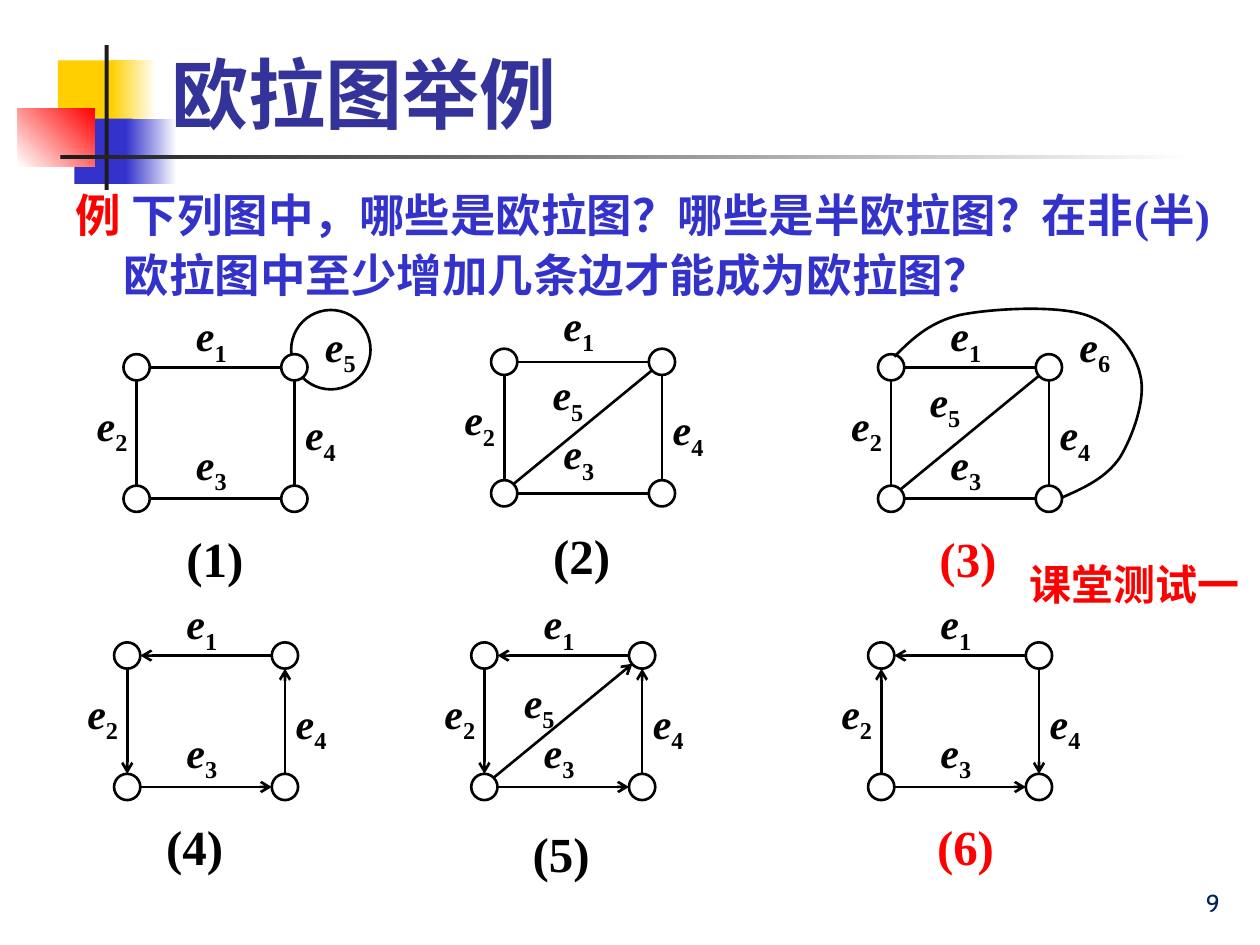
from lxml.etree import SubElement
from pptx import Presentation
from pptx.dml.color import RGBColor
from pptx.enum.shapes import MSO_CONNECTOR, MSO_SHAPE
from pptx.enum.text import MSO_ANCHOR, MSO_AUTO_SIZE, PP_ALIGN
from pptx.oxml.ns import qn
from pptx.util import Cm, Pt

COLORS = {
    "black": "000000", "white": "FFFFFF", "red": "FF0000", "yellow": "FFCF01",
    "blue": "3333CC", "charcoal": "1C1C1C", "title": "333399", "number": "002060",
}
SERIF, SANS = "Times New Roman", "Cabin"
NODE, RADIUS = 0.53, 0.265
WIDTH, HEIGHT = 3.18, 2.65
LABEL_SPOTS = {"1": (1.21, -1.02), "2": (-0.79, 0.78), "3": (1.21, 1.57), "4": (3.41, 0.98)}
EDGES = [
    ((NODE, RADIUS), (WIDTH, RADIUS)),
    ((RADIUS, NODE), (RADIUS, HEIGHT)),
    ((WIDTH + RADIUS, NODE), (WIDTH + RADIUS, HEIGHT)),
    ((NODE, HEIGHT + RADIUS), (WIDTH, HEIGHT + RADIUS)),
]
DIAGONAL = ((0.46, 2.72), (3.25, 0.43))
HEAD, TAIL = "a:headEnd", "a:tailEnd"
PLAIN = (None,) * 4
CYCLE = (HEAD, TAIL, HEAD, TAIL)
GRAPHS = [
    dict(origin=(2.49, 7.14), arrows=PLAIN, extras={"5": (3.81, -0.81)}, loop=True),
    dict(origin=(9.9, 7.03), arrows=PLAIN, extras={"5": (0.99, 0.28)}, diagonal=True, lift=0.1),
    dict(origin=(17.7, 7.14), arrows=PLAIN, extras={"6": (3.81, -0.81), "5": (0.79, 0.3)},
         diagonal=True, outer_edge=True),
    dict(origin=(2.3, 12.95), arrows=CYCLE),
    dict(origin=(9.5, 12.95), arrows=CYCLE, extras={"5": (0.81, 0.56)},
         diagonal=True, diagonal_arrow=TAIL),
    dict(origin=(17.5, 12.95), arrows=(HEAD, HEAD, TAIL, TAIL)),
]
CAPTIONS = [
    ("(1)", 3.51, 10.52, "black"), ("(2)", 10.9, 10.46, "black"), ("(3)", 18.69, 10.52, "red"),
    ("(4)", 3.1, 16.33, "black"), ("(5)", 10.49, 16.48, "black"), ("(6)", 18.64, 16.33, "red"),
]
DECORATION = [
    ((1.17, 1.22, 1.22, 1.32), ["yellow"], 0),
    ((2.24, 1.22, 0.91, 1.32), ["yellow", "white"], 0),
    ((1.5, 2.39, 1.17, 1.32), ["blue"], 0),
    ((2.54, 2.39, 1.02, 1.32), ["blue", "white"], 0),
    ((0.36, 2.18, 1.55, 1.17), ["white", "red"], 45),
    ((2.11, 0.91, 0.08, 2.92), ["charcoal"], 0),
    ((1.22, 3.12, 22.86, 0.08), ["charcoal", "white"], 0),
]
OUTER_EDGE = [
    (18.03, 7.19),
    (18.36, 6.86), (18.72, 6.5), (19.35, 6.35),
    (19.99, 6.22), (21.29, 6.15), (21.89, 6.35),
    (22.5, 6.55), (22.89, 7.11), (22.99, 7.57),
    (23.11, 8.05), (22.83, 8.81), (22.58, 9.22),
    (22.3, 9.63), (21.87, 9.83), (21.41, 10.03),
]


def rgb(name):
    return RGBColor.from_string(COLORS[name])


def write(paragraph, text, size=24, font=SERIF, color="black", bold=True, italic=False, baseline=0):
    run = paragraph.add_run()
    run.text = text
    run.font.size = Pt(size)
    run.font.name = font
    run.font.color.rgb = rgb(color)
    run.font.bold = bold
    run.font.italic = italic
    if baseline:
        run.font._element.set("baseline", str(baseline * 1000))


def add_text_box(shapes, box, wrap=False, fit=MSO_AUTO_SIZE.SHAPE_TO_FIT_TEXT):
    frame = shapes.add_textbox(*map(Cm, box)).text_frame
    frame.word_wrap = wrap
    frame.auto_size = fit
    return frame


def add_edge_label(shapes, index, left, top):
    paragraph = add_text_box(shapes, (left, top, 1.17, 1.27)).paragraphs[0]
    write(paragraph, "e", italic=True)
    write(paragraph, index, baseline=-25)


def style_outline(shape):
    shape.line.color.rgb = rgb("black")
    shape.line.width = Pt(1.5)


def add_circle(shapes, left, top, diameter, filled=False):
    circle = shapes.add_shape(MSO_SHAPE.OVAL, *map(Cm, (left, top, diameter, diameter)))
    circle.shadow.inherit = False
    if filled:
        circle.fill.solid()
        circle.fill.fore_color.rgb = rgb("white")
    else:
        circle.fill.background()
    style_outline(circle)


def add_edge(shapes, origin, ends, arrow=None):
    x, y = origin
    (x1, y1), (x2, y2) = ends
    edge = shapes.add_connector(MSO_CONNECTOR.STRAIGHT, Cm(x + x1), Cm(y + y1), Cm(x + x2), Cm(y + y2))
    style_outline(edge)
    properties = edge.element.spPr
    if arrow:
        SubElement(properties.find(qn("a:ln")), qn(arrow), type="arrow")
    SubElement(properties, qn("a:effectLst"))


def add_outer_edge(shapes):
    points = [(Cm(x), Cm(y)) for x, y in OUTER_EDGE]
    builder = shapes.build_freeform(*points[0])
    builder.add_line_segments(points[1:], close=False)
    curve = builder.convert_to_shape()
    curve.shadow.inherit = False
    curve.fill.background()
    style_outline(curve)
    outline = next(curve.element.iter(qn("a:path")))
    segments = outline.findall(qn("a:lnTo"))
    for start in range(0, len(segments), 3):
        bezier = SubElement(outline, qn("a:cubicBezTo"))
        for segment in segments[start:start + 3]:
            bezier.append(segment[0])
            outline.remove(segment)


def add_graph(slide, origin, arrows, extras=None, loop=False, diagonal=False,
              diagonal_arrow=None, outer_edge=False, lift=0):
    shapes = slide.shapes.add_group_shape().shapes
    x, y = origin
    if loop:
        add_circle(shapes, x + 3.38, y - 0.89, 1.6)
    for column, row in ((1, 0), (0, 0), (0, 1), (1, 1)):
        add_circle(shapes, x + column * WIDTH, y + row * HEIGHT, NODE, filled=(column, row) == (1, 0))
    for ends, arrow in zip(EDGES, arrows):
        add_edge(shapes, origin, ends, arrow)
    for index, (dx, dy) in LABEL_SPOTS.items():
        add_edge_label(shapes, index, x + dx, y + dy - (lift if index in "13" else 0))
    if outer_edge:
        add_outer_edge(shapes)
    if diagonal:
        add_edge(shapes, origin, DIAGONAL, diagonal_arrow)
    for index, (dx, dy) in (extras or {}).items():
        add_edge_label(shapes, index, x + dx, y + dy)


def add_decoration(slide, box, colors, angle):
    block = slide.shapes.add_shape(MSO_SHAPE.RECTANGLE, *map(Cm, box))
    block.shadow.inherit = False
    block.line.fill.background()
    if len(colors) == 1:
        block.fill.solid()
        block.fill.fore_color.rgb = rgb(colors[0])
        return
    block.fill.gradient()
    block.fill.gradient_angle = angle
    for stop, color in zip(block.fill.gradient_stops, colors):
        stop.color.rgb = rgb(color)


def place_placeholder(placeholder, box, anchor):
    placeholder.left, placeholder.top, placeholder.width, placeholder.height = map(Cm, box)
    placeholder.element.getparent().append(placeholder.element)
    frame = placeholder.text_frame
    frame.word_wrap = True
    frame.auto_size = MSO_AUTO_SIZE.NONE
    frame.vertical_anchor = anchor
    paragraph = frame.paragraphs[0]
    paragraph.alignment = PP_ALIGN.LEFT
    paragraph.space_before = Pt(0)
    return paragraph


def add_question(slide):
    question = place_placeholder(slide.placeholders[1], (1.27, 3.53, 23.5, 3.2), MSO_ANCHOR.TOP)
    question.line_spacing = 1.1
    properties = question._p.get_or_add_pPr()
    properties.set("marL", str(Cm(0.97)))
    properties.set("indent", str(-Cm(0.97)))
    SubElement(properties, qn("a:buNone"))
    write(question, "例", size=26, color="red")
    write(question, " 下列图中，哪些是欧拉图？哪些是半欧拉图？在非(半)欧拉图中至少增加几条边才能成为欧拉图？",
          size=26, color="blue")


def main():
    presentation = Presentation()
    presentation.slide_width, presentation.slide_height = Cm(25.4), Cm(19.05)
    slide = presentation.slides.add_slide(presentation.slide_layouts[1])
    for box, colors, angle in DECORATION:
        add_decoration(slide, box, colors, angle)
    heading = place_placeholder(slide.shapes.title, (3.2, 0.2, 21.64, 2.72), MSO_ANCHOR.BOTTOM)
    write(heading, "欧拉图举例", size=44, font=SANS, color="title")
    add_question(slide)
    for graph in GRAPHS:
        add_graph(slide, **graph)
    for text, left, top, color in CAPTIONS:
        caption = add_text_box(slide.shapes, (left, top, 1.68, 1.45))
        write(caption.paragraphs[0], text, size=28, color=color)
    quiz = add_text_box(slide.shapes, (20.5, 11.13, 4.95, 1.27), wrap=True)
    write(quiz.paragraphs[0], "课堂测试一", font=SANS, color="red")
    number = add_text_box(slide.shapes, (19.56, 17.35, 5.28, 1.27), wrap=True, fit=MSO_AUTO_SIZE.NONE)
    number.vertical_anchor = MSO_ANCHOR.BOTTOM
    number.paragraphs[0].alignment = PP_ALIGN.RIGHT
    write(number.paragraphs[0], "9", size=14, font=SANS, color="number", bold=False)
    presentation.save("out.pptx")


if __name__ == "__main__":
    main()
